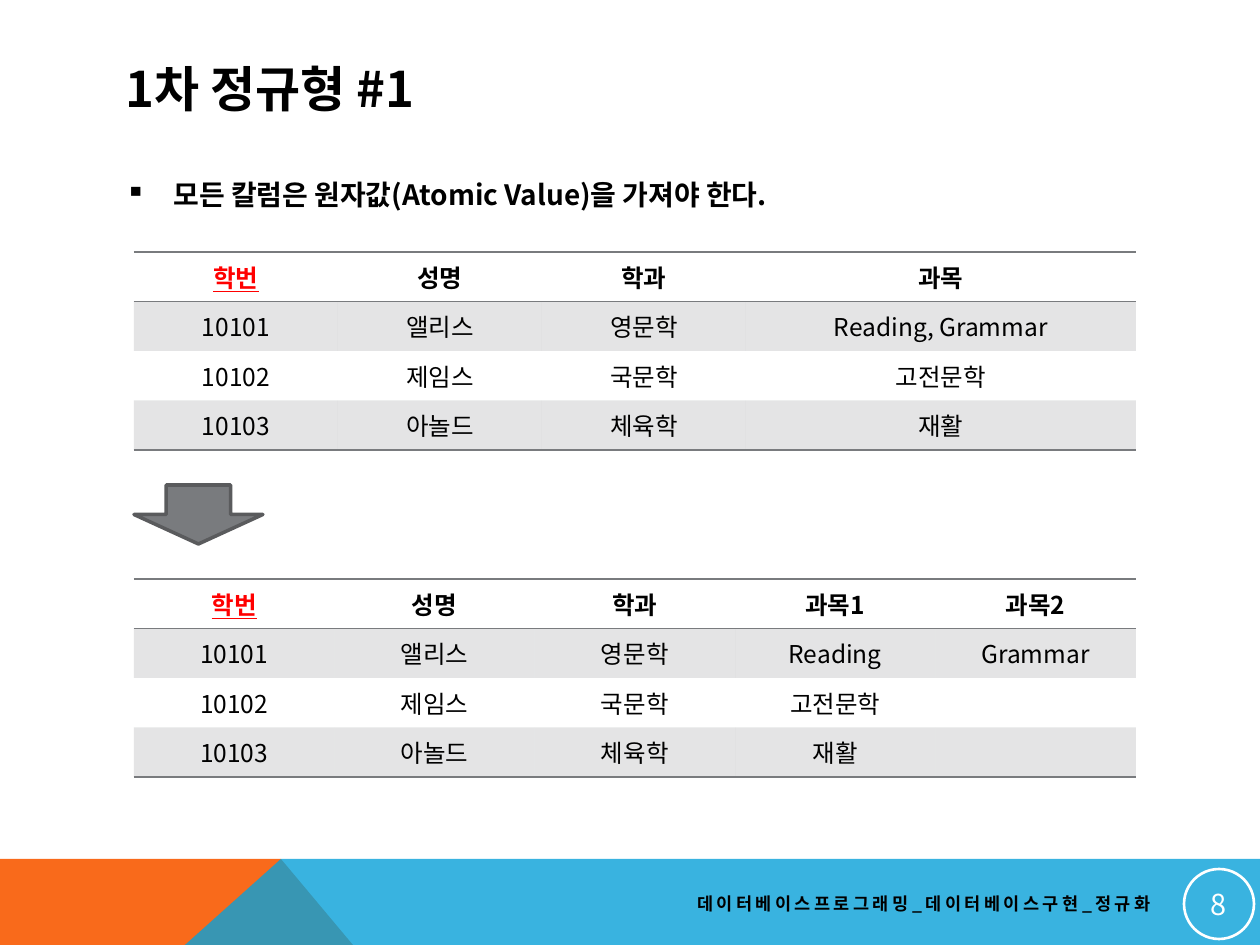
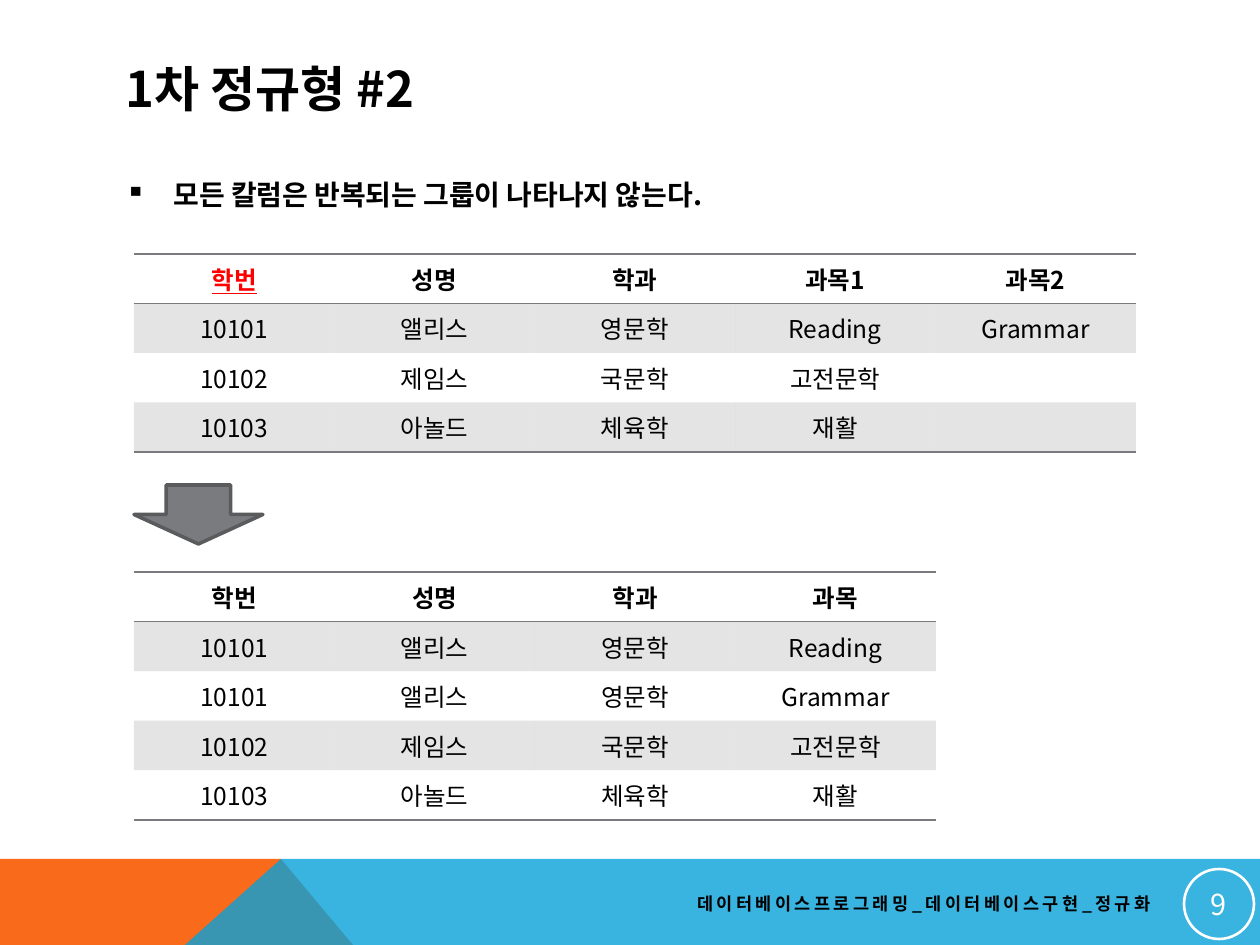
from dataclasses import dataclass
from typing import Optional

from lxml import etree
from pptx import Presentation
from pptx import util as u
from pptx.dml.color import RGBColor
from pptx.enum import shapes, text
from pptx.oxml.ns import qn

EMU_PER_PX = 914400 / 126
FONT = "Noto Sans CJK KR"
NO_GRID_STYLE = "{2D5ABB26-0587-4C30-8999-92F81FD0307C}"
FOOTER = "데이터베이스프로그래밍_데이터베이스구현_정규화"
COLORS = {
    "black": "000000", "white": "FFFFFF", "key": "FF0000",
    "orange": "F96A1B", "blue": "08A1D9",
    "gray": "797B7E", "dark_gray": "5A5B5D",
}
TITLE = {"size": u.Pt(28), "bold": True}
BULLET = {"size": u.Pt(16), "bold": True}
FOOT = {"size": u.Pt(10), "bold": True}
NUMBER = {"size": u.Pt(16.5), "bold": False}
HEAD = {"size": u.Pt(14), "bold": True}
CELL = {"size": u.Pt(14), "bold": False}
KEY = {**HEAD, "underline": True}


@dataclass
class Grid:
    top: int
    width: int
    height: int
    rows: list[list[str]]
    has_key: bool = True
    columns: Optional[list[int]] = None


@dataclass
class Page:
    number: int
    title: str
    rule: str
    before: Grid
    after: Grid


def px(n: float) -> u.Emu:
    return u.Emu(round(n * EMU_PER_PX))


def rgb(name: str) -> RGBColor:
    return RGBColor.from_string(COLORS[name])


# Shared formatting
def write(p, words: str, style: dict, color: str = "black", align=text.PP_ALIGN.LEFT):
    p.alignment = align
    r = p.add_run()
    r.text = words
    for name, value in style.items():
        setattr(r.font, name, value)
    r.font.name = FONT
    r.font.color.rgb = rgb(color)
    etree.SubElement(r.font._element, qn("a:ea"), typeface=FONT)
    return r


def set_alpha(fill_parent, percent: int) -> None:
    color = fill_parent.find(qn("a:solidFill"))[0]
    etree.SubElement(color, qn("a:alpha"), val=str(percent * 1000))


def text_frame(sp, inset: Optional[int] = None, anchor=text.MSO_ANCHOR.MIDDLE):
    tf = sp.text_frame
    tf.word_wrap = True
    tf.auto_size = text.MSO_AUTO_SIZE.NONE
    tf.vertical_anchor = anchor
    if inset is not None:
        for side in ("left", "right", "top", "bottom"):
            setattr(tf, f"margin_{side}", px(inset))
    return tf


# Bottom bands, footer and page number
def add_band(s, points: list[tuple[int, int]], color: str, alpha: int = 100) -> None:
    builder = s.shapes.build_freeform(*points[0], scale=EMU_PER_PX)
    builder.add_line_segments(points[1:], close=True)
    sp = builder.convert_to_shape()
    sp.shadow.inherit = False
    sp.fill.solid()
    sp.fill.fore_color.rgb = rgb(color)
    sp.line.fill.background()
    if alpha < 100:
        set_alpha(sp._element.spPr, alpha)


def add_footer(s, number: int) -> None:
    top, bottom, peak = 859, 945, 281
    add_band(s, [(0, top), (peak, top), (353, bottom), (0, bottom)], "orange")
    add_band(s, [(peak, top), (1260, top), (1260, bottom), (185, bottom)], "blue", 80)

    sp = s.shapes.add_textbox(px(512), px(885), px(651), px(38))
    r = write(text_frame(sp).paragraphs[0], FOOTER, FOOT, align=text.PP_ALIGN.RIGHT)
    r.font._element.set("spc", "200")

    sp = s.shapes.add_shape(shapes.MSO_SHAPE.OVAL, px(1184), px(869), px(70), px(70))
    sp.shadow.inherit = False
    sp.fill.background()
    sp.line.color.rgb = rgb("white")
    sp.line.width = u.Pt(1.5)
    write(text_frame(sp, inset=1).paragraphs[0], str(number), NUMBER, "white",
          text.PP_ALIGN.CENTER)


# Title and bulleted rule
def add_heading(s, title: str, rule: str) -> None:
    sp = s.shapes.title
    sp.left, sp.top, sp.width, sp.height = px(113), px(50), px(1036), px(76)
    write(text_frame(sp).paragraphs[0], title, TITLE)

    sp = s.shapes.add_textbox(px(113), px(175), px(1036), px(63))
    p = text_frame(sp, anchor=text.MSO_ANCHOR.TOP).paragraphs[0]
    write(p, rule, BULLET)
    p.space_before = u.Pt(8)
    p.line_spacing = 0.9
    pPr = p._p.get_or_add_pPr()
    pPr.set("marL", str(px(48)))
    pPr.set("indent", str(-px(48)))
    etree.SubElement(pPr, qn("a:buChar"), char="▪")


# Tables
def add_border(cell, side: str) -> None:
    tcPr = cell._tc.get_or_add_tcPr()
    ln = etree.Element(qn(f"a:ln{side}"), w=str(u.Pt(1)))
    fill = etree.SubElement(ln, qn("a:solidFill"))
    etree.SubElement(fill, qn("a:srgbClr"), val=COLORS["gray"])
    tcPr.insert(0, ln)


def fill_cell(cell, words: str, row: int, is_key: bool) -> None:
    cell.vertical_anchor = text.MSO_ANCHOR.MIDDLE
    p = cell.text_frame.paragraphs[0]
    if words:
        style = KEY if is_key else CELL if row else HEAD
        write(p, words, style, "key" if is_key else "black", text.PP_ALIGN.CENTER)
    else:
        etree.SubElement(p._p, qn("a:endParaRPr"), sz="1400")
    if row % 2:
        cell.fill.solid()
        cell.fill.fore_color.rgb = rgb("gray")
        set_alpha(cell._tc.tcPr, 20)
    else:
        cell.fill.background()


def add_grid(s, grid: Grid) -> None:
    n_rows, n_cols = len(grid.rows), len(grid.rows[0])
    frame = s.shapes.add_table(n_rows, n_cols, px(134), px(grid.top),
                               px(grid.width), px(grid.height))
    table = frame.table
    table.first_row = table.horz_banding = False
    table._tbl.tblPr.find(qn("a:tableStyleId")).text = NO_GRID_STYLE
    widths = grid.columns or [grid.width / n_cols] * n_cols
    for column, width in zip(table.columns, widths):
        column.width = px(width)
    for i, values in enumerate(grid.rows):
        table.rows[i].height = px(grid.height / n_rows)
        for j, words in enumerate(values):
            cell = table.cell(i, j)
            fill_cell(cell, words, i, grid.has_key and i == j == 0)
            if i in (0, n_rows - 1):
                add_border(cell, "B")
            if i == 0:
                add_border(cell, "T")


def add_arrow(s) -> None:
    sp = s.shapes.add_shape(shapes.MSO_SHAPE.DOWN_ARROW, px(134), px(485), px(129), px(59))
    sp.shadow.inherit = False
    sp.fill.solid()
    sp.fill.fore_color.rgb = rgb("gray")
    sp.line.color.rgb = rgb("dark_gray")
    sp.line.width = u.Pt(2)


# Content
ALICE = ["10101", "앨리스", "영문학"]
JAMES = ["10102", "제임스", "국문학"]
ARNOLD = ["10103", "아놀드", "체육학"]
FIELDS = ["학번", "성명", "학과"]
OTHERS = [JAMES + ["고전문학"], ARNOLD + ["재활"]]
ONE_COLUMN = [FIELDS + ["과목"], ALICE + ["Reading, Grammar"], *OTHERS]
TWO_COLUMNS = [FIELDS + ["과목1", "과목2"], ALICE + ["Reading", "Grammar"],
               *[row + [""] for row in OTHERS]]
ONE_PER_ROW = [FIELDS + ["과목"], ALICE + ["Reading"], ALICE + ["Grammar"], *OTHERS]

PAGES = [
    Page(8, "1차 정규형 #1", "모든 칼럼은 원자값(Atomic Value)을 가져야 한다.",
         Grid(252, 1002, 198, ONE_COLUMN, columns=[204, 204, 204, 390]),
         Grid(579, 1002, 198, TWO_COLUMNS)),
    Page(9, "1차 정규형 #2", "모든 칼럼은 반복되는 그룹이 나타나지 않는다.",
         Grid(254, 1002, 198, TWO_COLUMNS),
         Grid(572, 802, 248, ONE_PER_ROW, has_key=False)),
]

prs = Presentation()
prs.slide_width, prs.slide_height = px(1260), px(945)
for page in PAGES:
    s = prs.slides.add_slide(prs.slide_layouts.get_by_name("Title Only"))
    add_footer(s, page.number)
    add_heading(s, page.title, page.rule)
    add_grid(s, page.before)
    add_arrow(s)
    add_grid(s, page.after)
prs.save("out.pptx")
